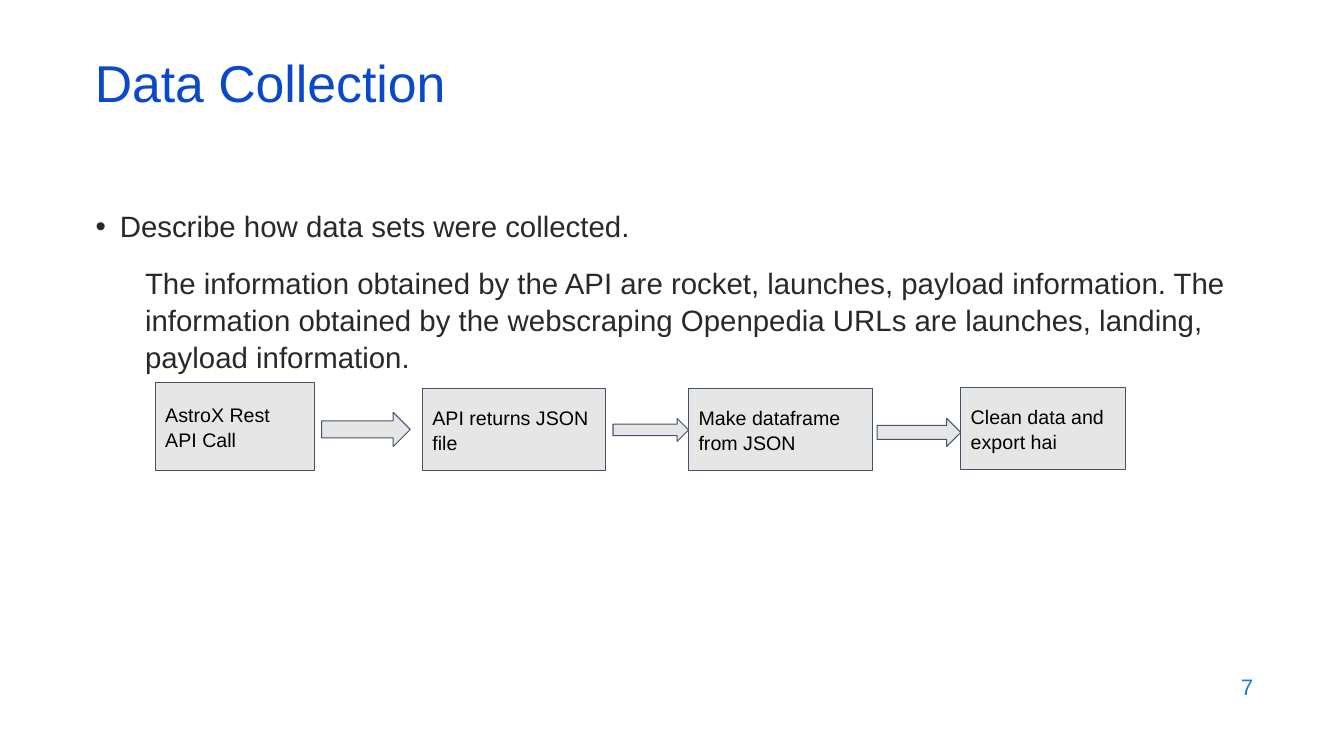
from lxml.etree import SubElement
from pptx import Presentation
from pptx.dml.color import RGBColor
from pptx.enum.shapes import MSO_SHAPE
from pptx.enum.text import MSO_ANCHOR, PP_ALIGN
from pptx.oxml.ns import qn
from pptx.util import Inches, Pt

TITLE_BLUE = RGBColor(0x0B, 0x49, 0xCB)
NUMBER_BLUE = RGBColor(0x1C, 0x7D, 0xDB)
BODY_GREY = RGBColor(0x29, 0x29, 0x29)
BLACK = RGBColor(0, 0, 0)
BOX_GREY = RGBColor(0xE7, 0xE6, 0xE6)
OUTLINE = RGBColor(0x44, 0x54, 0x6A)

MARGIN, CONTENT_WIDTH = 0.84, 11.5
LINE_SPACING = 1.05

BULLET_TEXT = "Describe how data sets were collected."
DETAIL_TEXT = (
    "The information obtained by the API are rocket, launches, payload information. "
    "The information obtained by the webscraping Openpedia URLs are launches, landing, "
    "payload information."
)
# Text, then left, top, width and height within the flow area
STEPS = [
    ("AstroX Rest API Call", (0, 0, 1.58, 0.88)),
    ("API returns JSON file", (2.65, 0.06, 1.82, 0.82)),
    ("Make dataframe from JSON", (5.29, 0.06, 1.82, 0.82)),
    ("Clean data and export hai", (7.99, 0.05, 1.63, 0.82)),
]
ARROWS = [
    (1.65, 0.3, 0.88, 0.34),
    (4.54, 0.36, 0.75, 0.23),
    (7.16, 0.36, 0.83, 0.28),
]


def style(paragraph, size, color):
    for run in paragraph.runs:
        run.font.name = "Arial"
        run.font.size = Pt(size)
        run.font.color.rgb = color


def set_indent(paragraph, left, first_line, bullet=None):
    properties = paragraph._p.get_or_add_pPr()
    properties.set("marL", str(Inches(left)))
    properties.set("indent", str(Inches(first_line)))
    if bullet:
        SubElement(properties, qn("a:buFont")).set("typeface", "Arial")
        SubElement(properties, qn("a:buChar")).set("char", bullet)
    else:
        SubElement(properties, qn("a:buNone"))


def add_title(slide, left, top, width, height):
    title = slide.shapes.title
    title.left, title.top = Inches(left), Inches(top)
    title.width, title.height = Inches(width), Inches(height)
    text_frame = title.text_frame
    text_frame.text = "Data Collection"
    text_frame.vertical_anchor = MSO_ANCHOR.MIDDLE
    paragraph = text_frame.paragraphs[0]
    paragraph.alignment = PP_ALIGN.LEFT
    paragraph.line_spacing = 0.7
    style(paragraph, 37, TITLE_BLUE)


def add_text_frame(slide, left, top, width, height):
    box = slide.shapes.add_textbox(Inches(left), Inches(top), Inches(width), Inches(height))
    box.text_frame.word_wrap = True
    return box.text_frame


def add_body(slide, left, top, width, height):
    text_frame = add_text_frame(slide, left, top, width, height)
    text_frame.text = BULLET_TEXT
    bullet = text_frame.paragraphs[0]
    detail = text_frame.add_paragraph()
    detail.text = DETAIL_TEXT
    detail.space_before = Pt(14)
    for paragraph in (bullet, detail):
        paragraph.line_spacing = LINE_SPACING
        style(paragraph, 21, BODY_GREY)
    set_indent(bullet, 0.25, -0.24, "•")
    set_indent(detail, 0.5, 0)


def add_flow_shape(slide, kind, left, top, width, height):
    shape = slide.shapes.add_shape(kind, Inches(left), Inches(top), Inches(width), Inches(height))
    shape.shadow.inherit = False
    shape.fill.solid()
    shape.fill.fore_color.rgb = BOX_GREY
    shape.line.color.rgb = OUTLINE
    shape.line.width = Pt(0.75)
    return shape


def add_flow(slide, left, top):
    for text, (x, y, width, height) in STEPS:
        step = add_flow_shape(slide, MSO_SHAPE.RECTANGLE, left + x, top + y, width, height)
        text_frame = step.text_frame
        text_frame.text = text
        text_frame.word_wrap = True
        text_frame.vertical_anchor = MSO_ANCHOR.MIDDLE
        text_frame.margin_top = text_frame.margin_bottom = Inches(0.1)
        paragraph = text_frame.paragraphs[0]
        paragraph.alignment = PP_ALIGN.LEFT
        paragraph.line_spacing = LINE_SPACING
        style(paragraph, 14, BLACK)
    for x, y, width, height in ARROWS:
        add_flow_shape(slide, MSO_SHAPE.RIGHT_ARROW, left + x, top + y, width, height)


def add_slide_number(slide, left, top, width, height):
    text_frame = add_text_frame(slide, left, top, width, height)
    text_frame.text = "7"
    text_frame.vertical_anchor = MSO_ANCHOR.MIDDLE
    paragraph = text_frame.paragraphs[0]
    paragraph.alignment = PP_ALIGN.RIGHT
    style(paragraph, 16, NUMBER_BLUE)


def main():
    presentation = Presentation()
    presentation.slide_width = Inches(13.33)
    presentation.slide_height = Inches(7.5)
    slide = presentation.slides.add_slide(presentation.slide_layouts[5])
    add_title(slide, MARGIN, 0.59, CONTENT_WIDTH, 0.6)
    add_body(slide, MARGIN, 2, CONTENT_WIDTH, 4.76)
    add_flow(slide, 1.54, 3.79)
    add_slide_number(slide, 9.53, 6.59, 3, 0.44)
    presentation.save("out.pptx")


if __name__ == "__main__":
    main()
